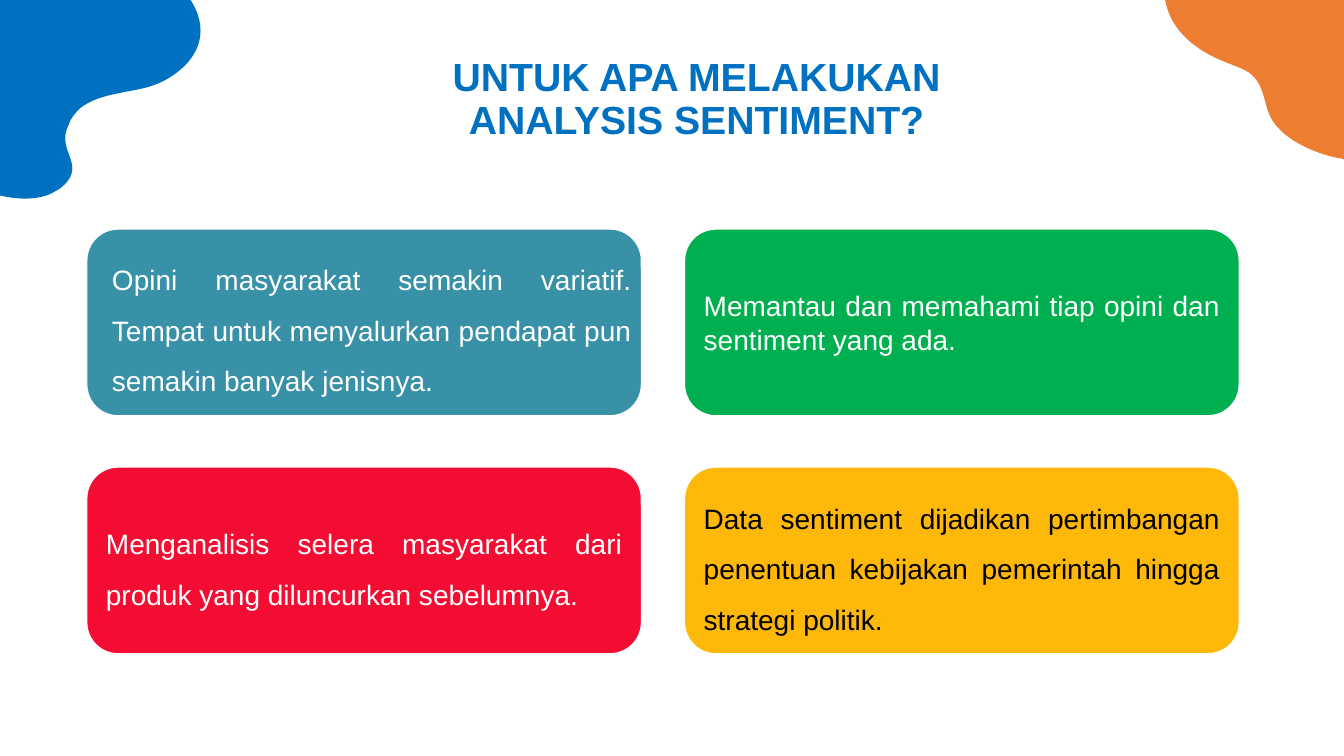
import math

import pptx
import pptx.util
from lxml import etree
from pptx.dml.color import RGBColor
from pptx.enum.shapes import MSO_SHAPE
from pptx.enum.text import MSO_ANCHOR, MSO_AUTO_SIZE, PP_ALIGN
from pptx.oxml.ns import qn

Pt = pptx.util.Pt

COLORS = {
    "blue": "0070C0",
    "orange": "ED7D31",
    "teal": "3891A7",
    "green": "00B050",
    "red": "F30D33",
    "yellow": "FEB80A",
    "white": "FFFFFF",
    "black": "000000",
}
FONT = "Arial"

CARD_LEFT, CARD_TOP = 62.1, 163.7
CARD_WIDTH, CARD_HEIGHT = 396, 133.2
COLUMN_STEP, ROW_STEP = 427, 170

OPINION_TEXT = (
    "Opini masyarakat semakin variatif. Tempat untuk menyalurkan "
    "pendapat pun semakin banyak jenisnya."
)
# Fill, text colour, line spacing and text, row by row
CARDS = [
    ("teal", "white", None, None),
    ("green", "white", 1.0, "Memantau dan memahami tiap opini dan sentiment yang ada."),
    ("red", "white", 1.5,
     "Menganalisis selera masyarakat dari produk yang diluncurkan sebelumnya."),
    ("yellow", "black", 1.5,
     "Data sentiment dijadikan pertimbangan penentuan kebijakan pemerintah "
     "hingga strategi politik."),
]

# Outlines in slide points: one point is a corner, three are a Bézier segment
BLUE_BOX, BLUE_ROTATION = (-69.1, -13, 218.2, 130.3), 320.2
BLUE_OUTLINE = [
    [(1.4, -1.4)],
    [(-41.8, 35.3), (-66.2, 95), (-22.3, 129.6)],
    [(-7.9, 141.1), (25.2, 146.9), (40.3, 136.1)],
    [(41.8, 135.4), (43.2, 134.6), (44.6, 133.2)],
    [(62.6, 117.4), (39.6, 108), (49, 89.3)],
    [(50.4, 84.2), (54, 80.6), (57.6, 77)],
    [(71.3, 66.2), (94.3, 66.2), (108.7, 61.2)],
    [(117.4, 58.3), (123.8, 54), (128.9, 49.7)],
    [(148.3, 33.1), (147.6, 11.5), (129.6, -8.6)],
    [(95, -47.5), (41, -33.8), (1.4, -1.4)],
]
ORANGE_BOX, ORANGE_ROTATION = (839.5, -7.2, 113.8, 127.4), 90
ORANGE_OUTLINE = [
    [(960, 0)],
    [(832.3, 0)],
    [(835.2, 18), (849.6, 33.8), (872.6, 43.2)],
    [(879.1, 46.1), (886.3, 48.2), (892.1, 51.8)],
    [(902.9, 59.8), (902.2, 71.3), (906.5, 81.4)],
    [(912.2, 95.8), (932.4, 108), (956.2, 113)],
    [(957.6, 113), (959, 113.4), (960, 113.8)],
]


def color(name):
    return RGBColor.from_string(COLORS[name])


def add_text(paragraph, text, size, color_name, alignment, spacing, bold=False):
    paragraph.alignment = alignment
    paragraph.line_spacing = spacing
    run = paragraph.add_run()
    run.text = text
    run.font.name = FONT
    run.font.size = Pt(size)
    run.font.bold = bold
    run.font.color.rgb = color(color_name)


def to_local(point, box, rotation):
    """Turn a slide point back into the frame of an unrotated box."""
    left, top, width, height = box
    angle = math.radians(rotation)
    x = point[0] - left - width / 2
    y = point[1] - top - height / 2
    return (
        Pt(x * math.cos(angle) + y * math.sin(angle) + width / 2),
        Pt(y * math.cos(angle) - x * math.sin(angle) + height / 2),
    )


def add_blob(slide, box, rotation, outline, fill):
    """Add a freeform whose segments are Bézier curves."""
    segments = [[to_local(point, box, rotation) for point in part] for part in outline]
    builder = slide.shapes.build_freeform(*segments[0][-1])
    builder.add_line_segments([part[-1] for part in segments[1:]], close=True)
    shape = builder.convert_to_shape()
    shape.left, shape.top, shape.width, shape.height = [Pt(value) for value in box]
    shape.rotation = rotation
    shape.shadow.inherit = False
    shape.fill.solid()
    shape.fill.fore_color.rgb = color(fill)
    shape.line.fill.background()

    geometry = shape.element.find(".//" + qn("a:path"))
    for child in list(geometry):
        geometry.remove(child)
    geometry.set("w", str(shape.width))
    geometry.set("h", str(shape.height))
    for index, part in enumerate(segments):
        if index == 0:
            tag = "a:moveTo"
        else:
            tag = "a:cubicBezTo" if len(part) == 3 else "a:lnTo"
        command = etree.SubElement(geometry, qn(tag))
        for x, y in part:
            etree.SubElement(command, qn("a:pt"), x=str(int(x)), y=str(int(y)))
    etree.SubElement(geometry, qn("a:close"))


def add_title(slide, text):
    title = slide.shapes.title
    title.left, title.top = Pt(299.5), Pt(19.5)
    title.width, title.height = Pt(396), Pt(104.5)
    frame = title.text_frame
    frame.word_wrap = True
    frame.auto_size = MSO_AUTO_SIZE.NONE
    frame.vertical_anchor = MSO_ANCHOR.MIDDLE
    add_text(frame.paragraphs[0], text, 28, "blue", PP_ALIGN.CENTER, 0.9, bold=True)


def add_card(slide, index, fill, text_color, spacing, text):
    row, column = divmod(index, 2)
    card = slide.shapes.add_shape(
        MSO_SHAPE.ROUNDED_RECTANGLE,
        Pt(CARD_LEFT + column * COLUMN_STEP), Pt(CARD_TOP + row * ROW_STEP),
        Pt(CARD_WIDTH), Pt(CARD_HEIGHT),
    )
    card.shadow.inherit = False
    card.fill.solid()
    card.fill.fore_color.rgb = color(fill)
    card.line.color.rgb = color("white")
    card.line.width = Pt(0.75)
    if text:
        frame = card.text_frame
        frame.word_wrap = True
        frame.vertical_anchor = MSO_ANCHOR.MIDDLE
        frame.margin_left = frame.margin_right = Pt(7.2)
        frame.margin_top = frame.margin_bottom = Pt(7.2)
        add_text(frame.paragraphs[0], text, 20, text_color, PP_ALIGN.JUSTIFY, spacing)


def add_opinion_text(slide):
    box = slide.shapes.add_textbox(Pt(72.9), Pt(172.2), Pt(385.3), Pt(111.6))
    frame = box.text_frame
    frame.word_wrap = True
    frame.auto_size = MSO_AUTO_SIZE.SHAPE_TO_FIT_TEXT
    add_text(frame.paragraphs[0], OPINION_TEXT, 20, "white", PP_ALIGN.JUSTIFY, 1.5)


def main():
    presentation = pptx.Presentation()
    presentation.slide_width, presentation.slide_height = Pt(960), Pt(540)
    slide = presentation.slides.add_slide(presentation.slide_layouts[5])
    add_title(slide, "UNTUK APA MELAKUKAN ANALYSIS SENTIMENT?")
    add_blob(slide, ORANGE_BOX, ORANGE_ROTATION, ORANGE_OUTLINE, "orange")
    add_blob(slide, BLUE_BOX, BLUE_ROTATION, BLUE_OUTLINE, "blue")
    for index, card in enumerate(CARDS):
        add_card(slide, index, *card)
    add_opinion_text(slide)
    presentation.save("out.pptx")


if __name__ == "__main__":
    main()
